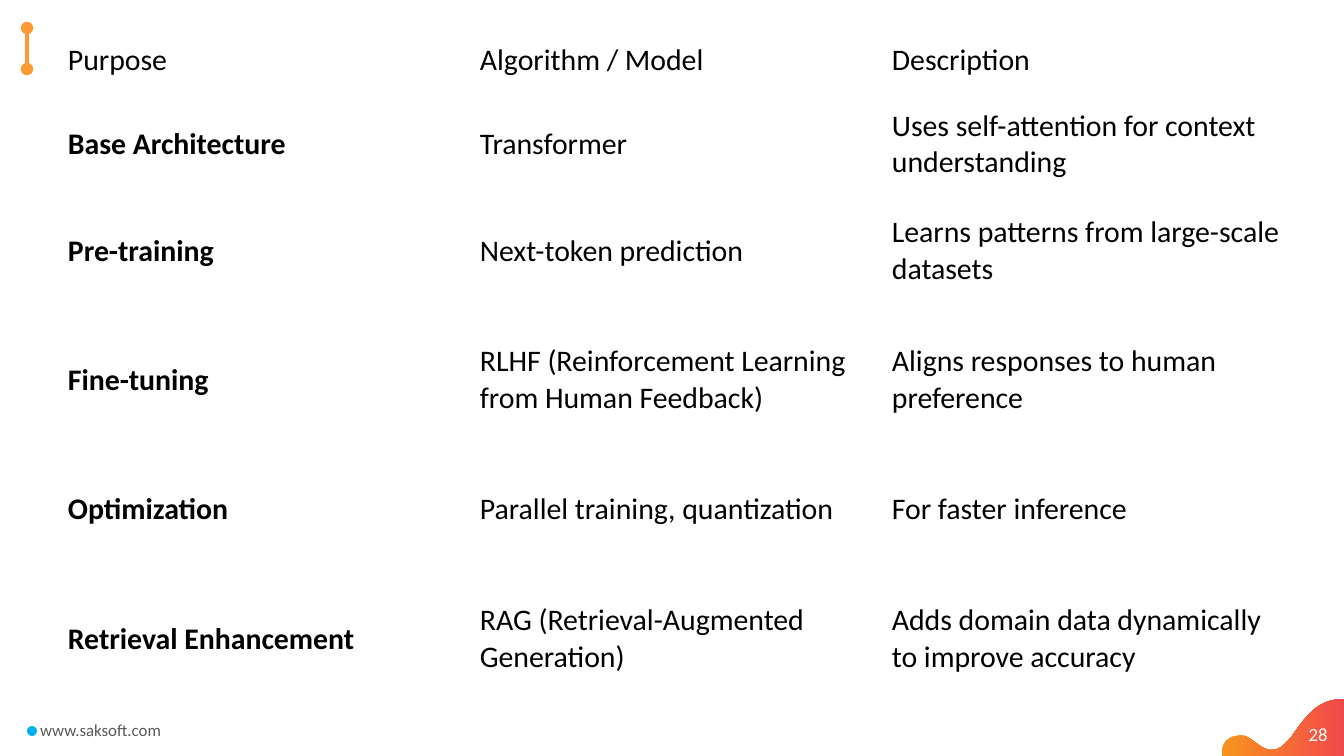
from lxml import etree
from pptx import Presentation
from pptx.dml.color import RGBColor
from pptx.enum.shapes import MSO_CONNECTOR, MSO_SHAPE
from pptx.enum.text import MSO_ANCHOR, MSO_AUTO_SIZE, PP_ALIGN
from pptx.oxml.ns import qn
from pptx.util import Emu, Pt

STRAIGHT = MSO_CONNECTOR.STRAIGHT
OVAL = MSO_SHAPE.OVAL
MIDDLE = MSO_ANCHOR.MIDDLE
FIT_SHAPE, FIXED = MSO_AUTO_SIZE.SHAPE_TO_FIT_TEXT, MSO_AUTO_SIZE.NONE
LEFT, CENTER = PP_ALIGN.LEFT, PP_ALIGN.CENTER
EMU_PER_PX = 914400 / 134.4
BLANK_LAYOUT = 6
FONT = "Calibri"
CURVE_STEPS = 16

COLUMN_WIDTH = 412
CELL_MARGIN_X, CELL_MARGIN_Y = 12, 6
ROW_HEIGHTS = [61, 107, 106, 152, 107, 152]
ROWS = [
    ("Purpose", "Algorithm / Model", "Description"),
    ("Base Architecture", "Transformer", "Uses self-attention for context understanding"),
    ("Pre-training", "Next-token prediction", "Learns patterns from large-scale datasets"),
    ("Fine-tuning", "RLHF (Reinforcement Learning from Human Feedback)",
     "Aligns responses to human preference"),
    ("Optimization", "Parallel training, quantization", "For faster inference"),
    ("Retrieval Enhancement", "RAG (Retrieval-Augmented Generation)",
     "Adds domain data dynamically to improve accuracy"),
]
WAVE_TOP = [
    [(1222, 756), (1220, 742), (1230, 734), (1245, 736)],
    [(1245, 736), (1259, 741), (1270, 765), (1292, 736)],
    [(1292, 736), (1312, 707), (1322, 700), (1344, 699)],
]


def px(length):
    """Turn pixels into EMU."""
    return Emu(round(length * EMU_PER_PX))


def color(value):
    """Turn a hex string into a colour."""
    return RGBColor.from_string(value)


def style_paragraph(paragraph, size, hex_color, bold=False):
    """Set the font of a whole paragraph."""
    font = paragraph.font
    font.name, font.size, font.bold = FONT, Pt(size), bold
    font.color.rgb = color(hex_color)


def add_label(page, text, place, size, hex_color, align=LEFT, wrap=True):
    """Add a one-line text box, which grows with its text unless it wraps."""
    box = page.shapes.add_textbox(*map(px, place))
    box.text_frame.word_wrap = wrap
    box.text_frame.auto_size = FIXED if wrap else FIT_SHAPE
    paragraph = box.text_frame.paragraphs[0]
    paragraph.text = text
    paragraph.alignment = align
    style_paragraph(paragraph, size, hex_color)


def bezier_points(curve):
    """Sample a cubic curve, leaving out its start."""
    for step in range(1, CURVE_STEPS + 1):
        t = step / CURVE_STEPS
        weights = ((1 - t) ** 3, 3 * t * (1 - t) ** 2, 3 * t * t * (1 - t), t ** 3)
        yield tuple(px(sum(w * point[axis] for w, point in zip(weights, curve)))
                    for axis in (0, 1))


def add_wave(page):
    """Add the gradient wave in the bottom right corner."""
    builder = page.shapes.build_freeform(*map(px, WAVE_TOP[0][0]))
    points = [point for curve in WAVE_TOP for point in bezier_points(curve)]
    builder.add_line_segments(points + [(px(1344), px(756))], close=True)
    wave = builder.convert_to_shape()
    wave.shadow.inherit = False
    wave.line.fill.background()
    wave.fill.gradient()
    wave.fill.gradient_angle = 0
    for stop, (position, value) in zip(wave.fill.gradient_stops, [(0, "F7941D"), (1, "F2494D")]):
        stop.position = position
        stop.color.rgb = color(value)


def add_pin(page):
    """Add the upright line with a round cap at each end."""
    pin = page.shapes.add_connector(STRAIGHT, px(27), px(28), px(27), px(69))
    pin.line.color.rgb = color("FF9933")
    pin.line.width = Pt(2.25)
    outline = pin.line._get_or_add_ln()
    for end in ("a:headEnd", "a:tailEnd"):
        etree.SubElement(outline, qn(end), type="oval")
    etree.SubElement(pin._element.spPr, qn("a:effectLst"))


def add_dot(page):
    """Add the blue dot before the web address."""
    dot = page.shapes.add_shape(OVAL, px(27), px(726), px(10), px(10))
    dot.shadow.inherit = False
    dot.fill.solid()
    dot.fill.fore_color.rgb = color("00B0F0")
    dot.line.fill.background()


def fill_cell(cell, text, bold):
    """Write one unfilled table cell."""
    cell.fill.background()
    cell.vertical_anchor = MIDDLE
    cell.margin_left = cell.margin_right = px(CELL_MARGIN_X)
    cell.margin_top = cell.margin_bottom = px(CELL_MARGIN_Y)
    cell.text = text
    style_paragraph(cell.text_frame.paragraphs[0], 16, "000000", bold)


def add_model_table(page):
    """Add the table of purposes and models."""
    columns = len(ROWS[0])
    frame = page.shapes.add_table(len(ROWS), columns, px(56), px(30),
                                  px(COLUMN_WIDTH * columns), px(sum(ROW_HEIGHTS)))
    table = frame.table
    table.first_row = table.horz_banding = False
    for column in table.columns:
        column.width = px(COLUMN_WIDTH)
    for r, (texts, height) in enumerate(zip(ROWS, ROW_HEIGHTS)):
        table.rows[r].height = px(height)
        for c, text in enumerate(texts):
            fill_cell(table.cell(r, c), text, r > 0 and c == 0)


def main():
    """Build and save the slide."""
    deck = Presentation()
    deck.slide_width, deck.slide_height = px(1344), px(756)
    page = deck.slides.add_slide(deck.slide_layouts[BLANK_LAYOUT])
    add_wave(page)
    add_label(page, "www.saksoft.com", (27, 713, 149, 34), 9, "595959", wrap=False)
    add_pin(page)
    add_dot(page)
    add_label(page, "28", (1292, 716, 52, 40), 10, "FFFFFF", CENTER)
    add_model_table(page)
    deck.save("out.pptx")


if __name__ == "__main__":
    main()
